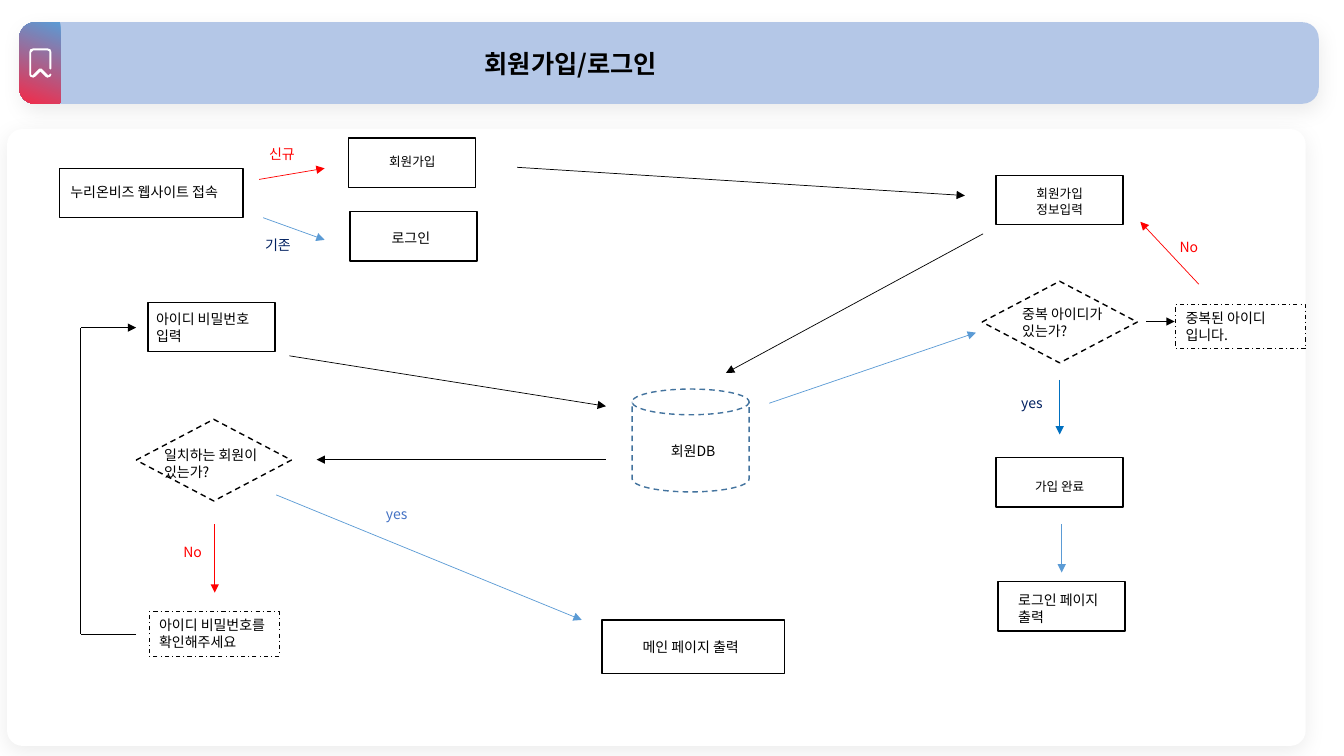
import lxml.etree
import pptx
import pptx.dml.color
import pptx.enum.dml
import pptx.enum.shapes
import pptx.enum.text
import pptx.oxml
import pptx.oxml.ns
import pptx.util

RGB = pptx.dml.color.RGBColor
BLACK = RGB(0, 0, 0)
WHITE = RGB(255, 255, 255)
RED = RGB(255, 0, 0)
ROSE = RGB(0xF3, 0x2B, 0x49)
PALE = RGB(0xB4, 0xC7, 0xE7)
SKY = RGB(0x5B, 0x9B, 0xD5)
BLUE = RGB(0x44, 0x72, 0xC4)
DEEP = RGB(0, 0x70, 0xC0)
NAVY = RGB(0, 0x20, 0x60)
STEEL = RGB(0x43, 0x73, 0x9E)

KIND = pptx.enum.shapes.MSO_SHAPE
DASH = pptx.enum.dml.MSO_LINE
ALIGN = pptx.enum.text.PP_ALIGN
ANCHOR = pptx.enum.text.MSO_ANCHOR
PX = 9144

MARK = [
    (33, 77), (30, 76), (29, 74), (29, 52), (30, 49), (33, 48), (47, 48),
    (50, 49), (51, 52), (51, 68), (50, 69), (49, 68), (49, 51), (47, 50),
    (33, 50), (31, 52), (31, 74), (32, 75), (33, 74), (39, 68), (41, 68),
    (47, 74), (48, 75), (49, 74), (50, 73), (51, 74), (50, 76), (47, 77),
    (45, 76), (40, 71), (35, 76),
]
STEPS = [(347, 210), (346, 137), (988, 174), (988, 454), (147, 300), (990, 577)]
TESTS = [(135, 416), (974, 279)]
LEFT = [
    ("누리온비즈 웹사이트 접속", 60, 177, 194, 27, BLACK),
    ("일치하는 회원이 있는가?", 153, 438, 127, 44, BLACK),
    ("중복 아이디가 있는가?", 1004, 298, 108, 44, BLACK),
    ("아이디 비밀번호 입력", 145, 303, 134, 44, BLACK),
    ("로그인 페이지 출력", 1000, 582, 112, 44, BLACK),
    ("기존", 253, 230, 48, 27, NAVY),
    ("신규", 257, 139, 53, 27, RED),
    ("yes", 373, 497, 48, 27, BLUE),
    ("yes", 1003, 386, 48, 27, NAVY),
    ("No", 172, 534, 45, 27, RED),
    ("No", 1160, 232, 45, 27, RED),
]
MID = [
    ("로그인", 352, 223, 111, 27, 10),
    ("회원가입", 356, 148, 106, 25, 9),
    ("회원가입 정보입력", 998, 180, 106, 40, 9),
    ("가입 완료", 998, 470, 106, 25, 9),
    ("메인 페이지 출력", 588, 629, 194, 27, 10),
    ("회원DB", 641, 434, 93, 27, 10),
]
ALERTS = [
    ("아이디 비밀번호를 확인해주세요", 148, 607),
    ("중복된 아이디 입니다.", 1166, 302),
]
ARROWS = [
    (257, 178, 322, 167, RED),
    (261, 216, 322, 238, SKY),
    (513, 166, 957, 194, BLACK),
    (975, 232, 720, 370, BLACK),
    (763, 400, 968, 330, SKY),
    (1189, 282, 1131, 220, RED),
    (287, 353, 601, 403, BLACK),
    (601, 456, 314, 456, BLACK),
    (274, 491, 577, 615, SKY),
    (1051, 377, 1051, 431, DEEP),
    (1137, 319, 1165, 319, BLACK),
    (1053, 520, 1053, 568, SKY),
    (213, 520, 213, 588, RED),
    (80, 325, 135, 325, BLACK),
]


class Board:
    def __init__(self, slide, face):
        self.shapes = slide.shapes
        self.face = face

    def shape(self, kind, x, y, w, h, fill=WHITE, line=None, dash=None):
        item = self.shapes.add_shape(kind, x * PX, y * PX, w * PX, h * PX)
        item.shadow.inherit = False
        item.fill.solid()
        item.fill.fore_color.rgb = fill
        self.edge(item, line, 1, dash)
        return item

    def edge(self, item, color, width, dash=None):
        if color is None:
            item.line.fill.background()
            return
        item.line.color.rgb = color
        item.line.width = pptx.util.Pt(width)
        if dash:
            item.line.dash_style = dash

    def card(self, x, y, w, h, fill, curve):
        item = self.shape(KIND.ROUNDED_RECTANGLE, x, y, w, h, fill)
        item.adjustments[0] = curve
        glow = pptx.oxml.parse_xml(
            '<a:outerShdw xmlns:a="http://schemas.openxmlformats.org/drawingml/2006/main" '
            'blurRad="190500" dist="63500" dir="5400000" algn="t" rotWithShape="0">'
            '<a:srgbClr val="000000"><a:alpha val="7000"/></a:srgbClr></a:outerShdw>')
        item._element.spPr.find(pptx.oxml.ns.qn("a:effectLst")).append(glow)
        return item

    def badge(self, x, y, w, h, start, end):
        item = self.shape(KIND.ROUND_2_SAME_RECTANGLE, x, y, w, h)
        item.adjustments[0] = 0.384
        item.rotation = 270
        item.fill.gradient()
        item.fill.gradient_angle = 160
        for stop, color, place in zip(item.fill.gradient_stops, (start, end), (0, 1)):
            stop.color.rgb = color
            stop.position = place

    def icon(self, points, fill):
        form = self.shapes.build_freeform(*points[0], scale=PX)
        form.add_line_segments(points[1:], close=True)
        item = form.convert_to_shape()
        item.shadow.inherit = False
        item.fill.solid()
        item.fill.fore_color.rgb = fill
        self.edge(item, None, 0)

    def label(self, frame, words, size, color, align=ALIGN.LEFT, bold=False):
        frame.word_wrap = True
        frame.text = words
        para = frame.paragraphs[0]
        para.alignment = align
        for run in para.runs:
            font = run.font
            font.size = pptx.util.Pt(size)
            font.bold = bold
            font.color.rgb = color
            font.name = self.face
            east = lxml.etree.SubElement(font._element, pptx.oxml.ns.qn("a:ea"))
            east.set("typeface", self.face)

    def text(self, words, x, y, w, h, color=BLACK, size=10, align=ALIGN.LEFT):
        item = self.shapes.add_textbox(x * PX, y * PX, w * PX, h * PX)
        self.label(item.text_frame, words, size, color, align)
        return item

    def link(self, x1, y1, x2, y2, color, arrow=True):
        item = self.shapes.add_connector(
            pptx.enum.shapes.MSO_CONNECTOR.STRAIGHT, x1 * PX, y1 * PX, x2 * PX, y2 * PX)
        self.edge(item, color, 0.5)
        if arrow:
            line = item._element.spPr.find(pptx.oxml.ns.qn("a:ln"))
            tail = lxml.etree.SubElement(line, pptx.oxml.ns.qn("a:tailEnd"))
            tail.set("type", "triangle")
        lxml.etree.SubElement(item._element.spPr, pptx.oxml.ns.qn("a:effectLst"))


def main():
    deck = pptx.Presentation()
    deck.slide_width = 1333 * PX
    deck.slide_height = 750 * PX
    board = Board(deck.slides.add_slide(deck.slide_layouts[6]), "Noto Sans CJK KR")

    head = board.card(20, 22, 1288, 81, PALE, 0.201)
    frame = head.text_frame
    frame.margin_left = 456 * PX
    frame.vertical_anchor = ANCHOR.MIDDLE
    board.label(frame, "회원가입/로그인", 18, BLACK, bold=True)
    board.badge(-1, 42, 81, 41, SKY, ROSE)
    board.icon(MARK, WHITE)
    board.card(7, 128, 1288, 612, WHITE, 0.025)

    board.shape(KIND.RECTANGLE, 59, 167, 182, 49, line=BLACK)
    board.shape(KIND.RECTANGLE, 597, 615, 181, 53, line=BLACK)
    for x, y in STEPS:
        board.shape(KIND.RECTANGLE, x, y, 126, 49, line=BLACK)
    for x, y in TESTS:
        board.shape(KIND.DIAMOND, x, y, 154, 81, line=BLACK, dash=DASH.DASH)
    board.shape(KIND.CAN, 627, 386, 116, 102, line=STEEL, dash=DASH.DASH)

    for words, x, y, w, h, color in LEFT:
        board.text(words, x, y, w, h, color)
    for words, x, y, w, h, size in MID:
        board.text(words, x, y, w, h, size=size, align=ALIGN.CENTER)
    for words, x, y in ALERTS:
        note = board.text(words, x, y, 129, 44)
        board.edge(note, BLACK, 0.75, DASH.DASH_DOT)

    for arrow in ARROWS:
        board.link(*arrow)
    board.link(135, 629, 80, 629, BLACK, arrow=False)
    board.link(80, 629, 80, 325, BLACK, arrow=False)
    deck.save("out.pptx")


if __name__ == "__main__":
    main()
